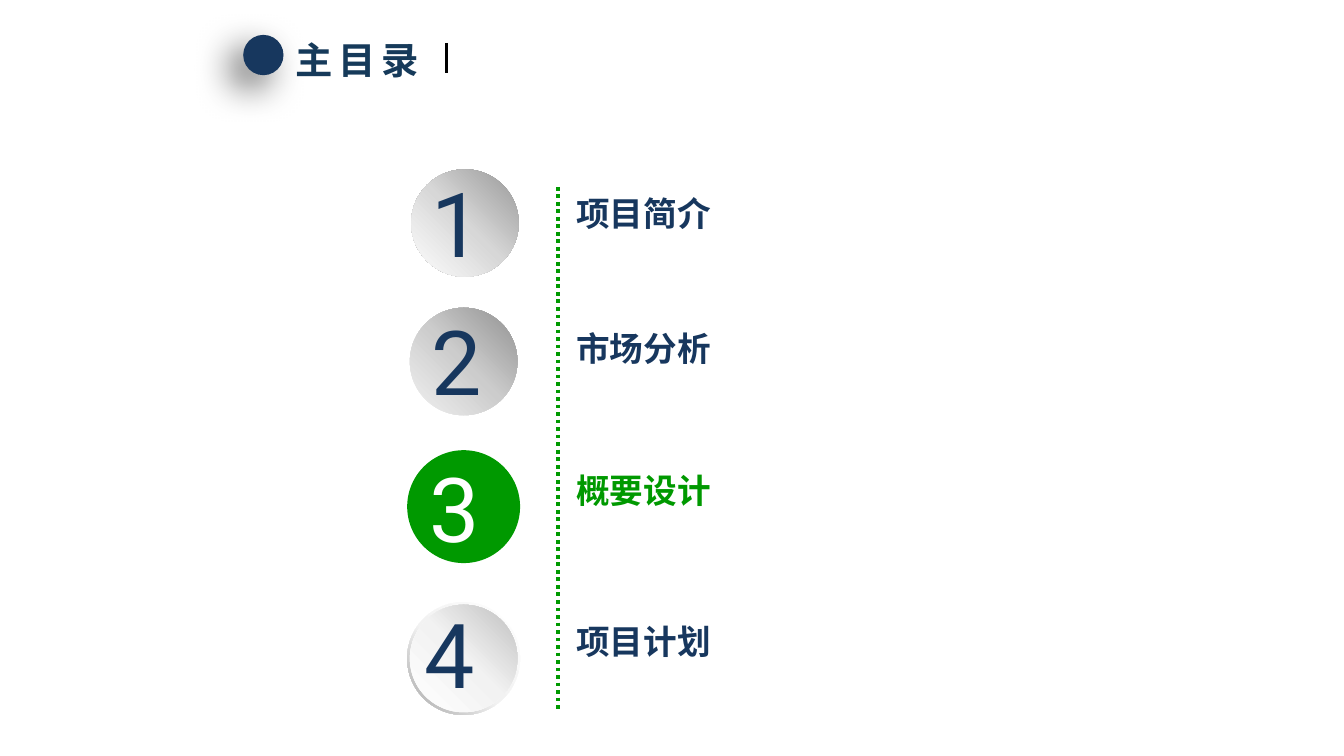
"""Build the contents slide with its four numbered badges."""
from lxml import etree
from pptx import Presentation
from pptx.dml.color import RGBColor
from pptx.enum.dml import MSO_LINE
from pptx.enum.shapes import MSO_CONNECTOR, MSO_SHAPE
from pptx.enum.text import MSO_ANCHOR, MSO_AUTO_SIZE, PP_ALIGN
from pptx.oxml import parse_xml
from pptx.oxml.ns import nsdecls, qn
from pptx.util import Pt

PX = 9144
NAVY, GREEN, WHITE, BLACK = "17375E", "009900", "FFFFFF", "000000"
CJK, LATIN = "Noto Sans CJK SC", "Roboto"
DOWN_LEFT = '<a:lin ang="8100000" scaled="0"/>'
UP_RIGHT = '<a:lin ang="18900000" scaled="0"/>'
FROM_CORNER = '<a:path path="circle"><a:fillToRect l="100000" b="100000"/></a:path>'


def paint(fill, colour):
    fill.solid()
    fill.fore_color.rgb = RGBColor.from_string(colour)


def write(box, text, size, typeface, colour, bold=False):
    frame = box.text_frame
    frame.word_wrap = True
    frame.auto_size = MSO_AUTO_SIZE.NONE
    frame.vertical_anchor = MSO_ANCHOR.TOP
    para = frame.paragraphs[0]
    para.alignment = PP_ALIGN.LEFT
    span = para.add_run()
    span.text = text
    span.font.size = Pt(size)
    span.font.bold = bold
    paint(span.font.fill, colour)
    span.font.name = typeface
    etree.SubElement(span.font._element, qn("a:ea"), typeface=typeface)
    return span


deck = Presentation()
deck.slide_width = 1000 * PX
deck.slide_height = deck.slide_width * 9 // 16
page = deck.slides.add_slide(deck.slide_layouts[5])

bullet = page.shapes.add_shape(MSO_SHAPE.OVAL, 181 * PX, 26 * PX, 30 * PX, 30 * PX)
paint(bullet.fill, NAVY)
bullet.line.fill.background()
bullet.element.spPr.append(parse_xml(
    f'<a:effectLst {nsdecls("a")}><a:outerShdw blurRad="{Pt(20)}" dist="{Pt(10)}" '
    f'dir="8100000" algn="tr" rotWithShape="0"><a:srgbClr val="{BLACK}">'
    '<a:alpha val="60000"/></a:srgbClr></a:outerShdw></a:effectLst>'))

title = page.shapes.title
title.left, title.top, title.width, title.height = 210 * PX, 23 * PX, 117 * PX, 44 * PX
heading = write(title, "主目录", 20, CJK, "163A5A", True)
heading.font._element.set("spc", "300")
title.text_frame.word_wrap = False

rules = [
    (332, 32, 54, BLACK, 1.5, MSO_LINE.SOLID),
    (415, 139, 529, GREEN, 2, MSO_LINE.ROUND_DOT),
]
for x, top, bottom, colour, weight, dash in rules:
    rule = page.shapes.add_connector(MSO_CONNECTOR.STRAIGHT, x * PX, top * PX, x * PX, bottom * PX)
    paint(rule.line.fill, colour)
    rule.line.width = Pt(weight)
    rule.line.dash_style = dash
    etree.SubElement(rule.element.spPr, qn("a:effectLst"))

white_ring = ([(0, WHITE)], None)
green_fill = ([(0, GREEN)], None)
badges = [
    ("2", 303, 227, 311, 223, NAVY, white_ring,
     ([(0, "909090"), (50, "CCCCCC"), (100, "F2F2F2")], FROM_CORNER)),
    ("4", 303, 448, 306, 441, NAVY,
     ([(0, WHITE), (55, "F2F2F2"), (100, "A6A6A6")], DOWN_LEFT),
     ([(0, WHITE), (51, "F2F2F2"), (100, "BFBFBF")], UP_RIGHT)),
    ("3", 303, 335, 310, 332, WHITE, green_fill, green_fill),
    ("1", 304, 124, 311, 120, NAVY, white_ring,
     ([(0, "979797"), (50, "D7D7D7"), (100, WHITE)], DOWN_LEFT)),
]
for number, x, y, number_x, number_y, colour, ring, disc in badges:
    badge = page.shapes.add_group_shape()
    layers = [(MSO_SHAPE.DONUT, 0, 84, ring), (MSO_SHAPE.OVAL, 2, 80, disc)]
    for kind, inset, size, (stops, direction) in layers:
        circle = badge.shapes.add_shape(
            kind, (x + inset) * PX, (y + inset) * PX, size * PX, size * PX)
        circle.shadow.inherit = False
        circle.line.fill.background()
        paint(circle.fill, stops[0][1])
        if kind == MSO_SHAPE.DONUT:
            circle.adjustments[0] = 0.049
        if direction:
            marks = "".join(
                f'<a:gs pos="{place * 1000}"><a:srgbClr val="{shade}"/></a:gs>'
                for place, shade in stops)
            gradient = parse_xml(
                f'<a:gradFill {nsdecls("a")} rotWithShape="1"><a:gsLst>{marks}</a:gsLst>'
                f'{direction}</a:gradFill>')
            properties = circle.element.spPr
            properties.replace(properties.find(qn("a:solidFill")), gradient)
    box = badge.shapes.add_textbox(number_x * PX, number_y * PX, 72 * PX, 91 * PX)
    write(box, number, 48, LATIN, colour)

chapters = [
    ("项目简介", 139, 230, NAVY),
    ("市场分析", 239, 270, NAVY),
    ("概要设计", 345, 233, GREEN),
    ("项目计划", 457, 239, NAVY),
]
for chapter, y, width, colour in chapters:
    box = page.shapes.add_textbox(419 * PX, y * PX, width * PX, 40 * PX)
    write(box, chapter, 18, CJK, colour, True)

deck.save("out.pptx")
